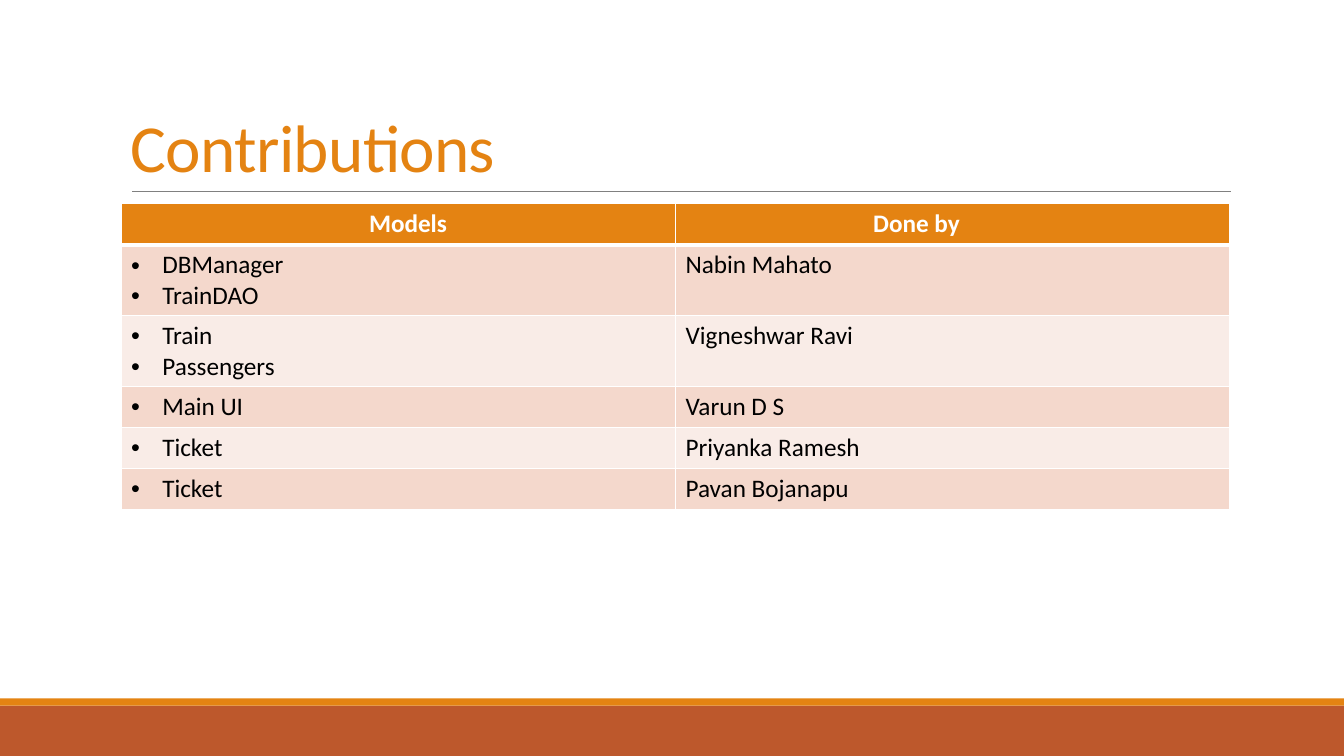
from lxml import etree
from pptx import Presentation
from pptx.dml.color import RGBColor
from pptx.enum.shapes import MSO_CONNECTOR, MSO_SHAPE
from pptx.enum.text import MSO_ANCHOR
from pptx.oxml.ns import qn
from pptx.util import Inches, Pt

RECT = MSO_SHAPE.RECTANGLE
LINE = MSO_CONNECTOR.STRAIGHT
BOTTOM = MSO_ANCHOR.BOTTOM

FONT = "Calibri"
COLORS = {
    "orange": "E48312",
    "rust": "BD582C",
    "gray": "808080",
    "white": "FFFFFF",
    "black": "000000",
    "dark": "F4D8CC",
    "light": "F9ECE7",
}
HEADS = [("Models", 2.36), ("Done by", 1.86)]
WORK = [
    (["DBManager", "TrainDAO"], "Nabin Mahato"),
    (["Train", "Passengers"], "Vigneshwar Ravi"),
    (["Main UI"], "Varun D S"),
    (["Ticket"], "Priyanka Ramesh"),
    (["Ticket"], "Pavan Bojanapu"),
]


def rgb(name):
    return RGBColor.from_string(COLORS[name])


def style(para, size, color, bold=False):
    for run in para.runs:
        font = run.font
        font.name, font.size, font.bold = FONT, Pt(size), bold
        font.color.rgb = rgb(color)


def indent(para, left, first=0):
    props = para._p.get_or_add_pPr()
    props.set("marL", str(Inches(left)))
    props.set("indent", str(Inches(first)))
    return props


def bullet(para):
    props = indent(para, 0.31, -0.31)
    tint = etree.SubElement(props, qn("a:buClr"))
    etree.SubElement(tint, qn("a:srgbClr"), val=COLORS["black"])
    etree.SubElement(props, qn("a:buFont"), typeface="Arial")
    etree.SubElement(props, qn("a:buChar"), char="•")


def add_band(slide, top, height, color):
    band = slide.shapes.add_shape(
        RECT, 0, Inches(top), Inches(13.33), Inches(height))
    band.shadow.inherit = False
    band.fill.solid()
    band.fill.fore_color.rgb = rgb(color)
    band.line.fill.background()


def add_rule(slide):
    rule = slide.shapes.add_connector(
        LINE, Inches(1.31), Inches(1.9), Inches(12.21), Inches(1.9))
    rule.line.color.rgb = rgb("gray")
    rule.line.width = Pt(0.5)
    etree.SubElement(rule._element.spPr, qn("a:effectLst"))


def add_title(slide, text):
    box = slide.shapes.add_textbox(
        Inches(1.2), Inches(0.31), Inches(11), Inches(1.59))
    frame = box.text_frame
    frame.word_wrap = True
    frame.vertical_anchor = BOTTOM
    frame.text = text
    para = frame.paragraphs[0]
    para.line_spacing = 0.85
    style(para, 48, "orange")
    para.runs[0].font._element.set("spc", "-50")


def paint(cell, color, top=0.96, bottom=0.96):
    """Give a cell white borders and a solid fill."""
    props = cell._tc.get_or_add_tcPr()
    for side, width in zip("LRTB", (0.96, 0.96, top, bottom)):
        edge = etree.SubElement(props, qn(f"a:ln{side}"), w=str(Pt(width)))
        fill = etree.SubElement(edge, qn("a:solidFill"))
        etree.SubElement(fill, qn("a:srgbClr"), val=COLORS["white"])
    cell.fill.solid()
    cell.fill.fore_color.rgb = rgb(color)


def add_table(slide):
    table = slide.shapes.add_table(
        len(WORK) + 1, 2, Inches(1.2), Inches(2.02),
        Inches(11), Inches(2.83)).table
    table.rows[0].height = Inches(0.41)
    for col, (head, left) in enumerate(HEADS):
        cell = table.cell(0, col)
        cell.text_frame.text = head
        para = cell.text_frame.paragraphs[0]
        indent(para, left)
        style(para, 18, "white", True)
        paint(cell, "orange", bottom=3)

    for row, (models, person) in enumerate(WORK, 1):
        table.rows[row].height = Inches(0.6 if len(models) > 1 else 0.41)
        for col, text in enumerate(("\n".join(models), person)):
            cell = table.cell(row, col)
            cell.text_frame.text = text
            for para in cell.text_frame.paragraphs:
                if col == 0:
                    bullet(para)
                style(para, 18, "black")
            paint(cell, "dark" if row % 2 else "light",
                  top=3 if row == 1 else 0.96)


def main():
    deck = Presentation()
    deck.slide_width, deck.slide_height = Inches(13.33), Inches(7.5)
    slide = deck.slides.add_slide(deck.slide_layouts[6])
    add_band(slide, 7, 0.5, "rust")
    add_band(slide, 6.93, 0.07, "orange")
    add_rule(slide)
    add_title(slide, "Contributions")
    add_table(slide)
    deck.save("out.pptx")


if __name__ == "__main__":
    main()
